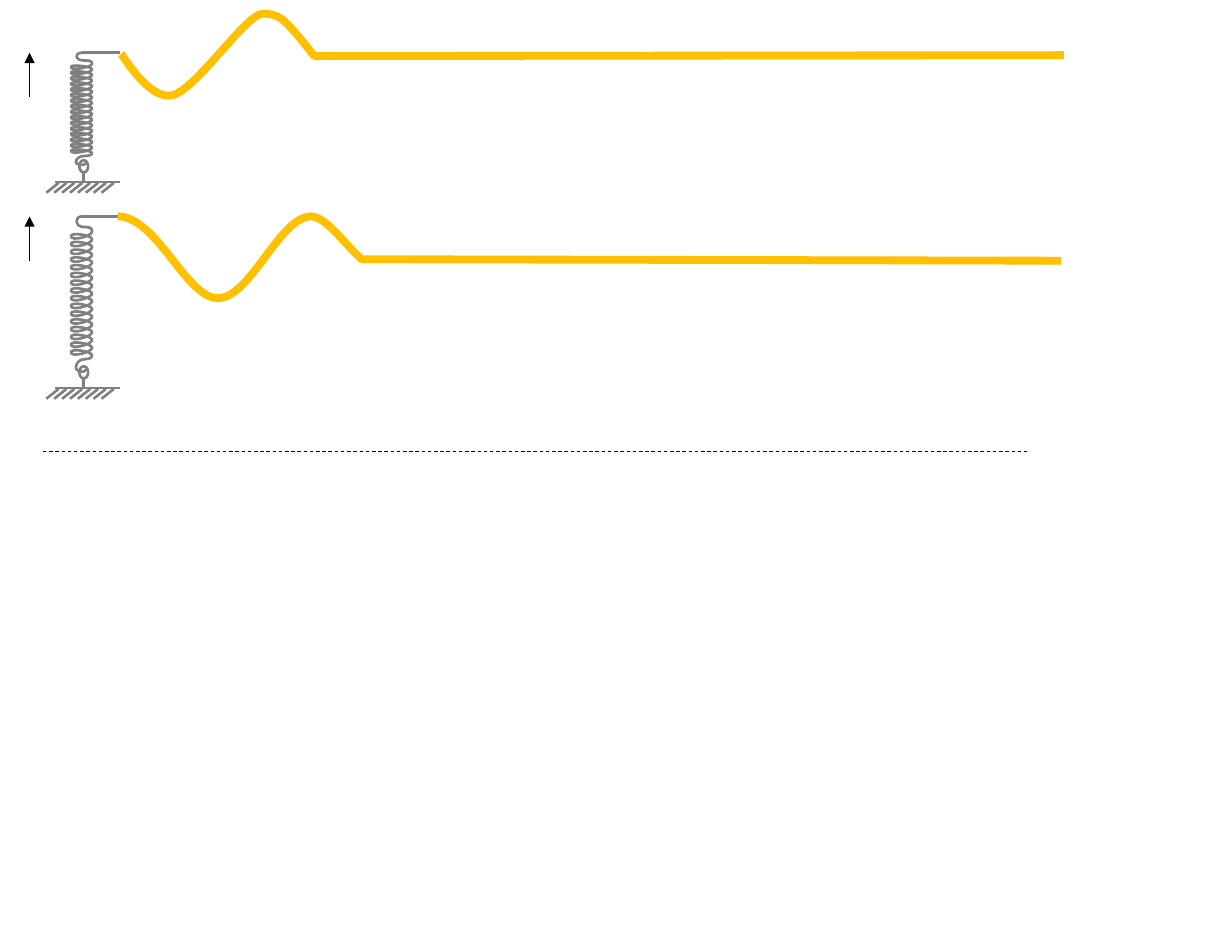
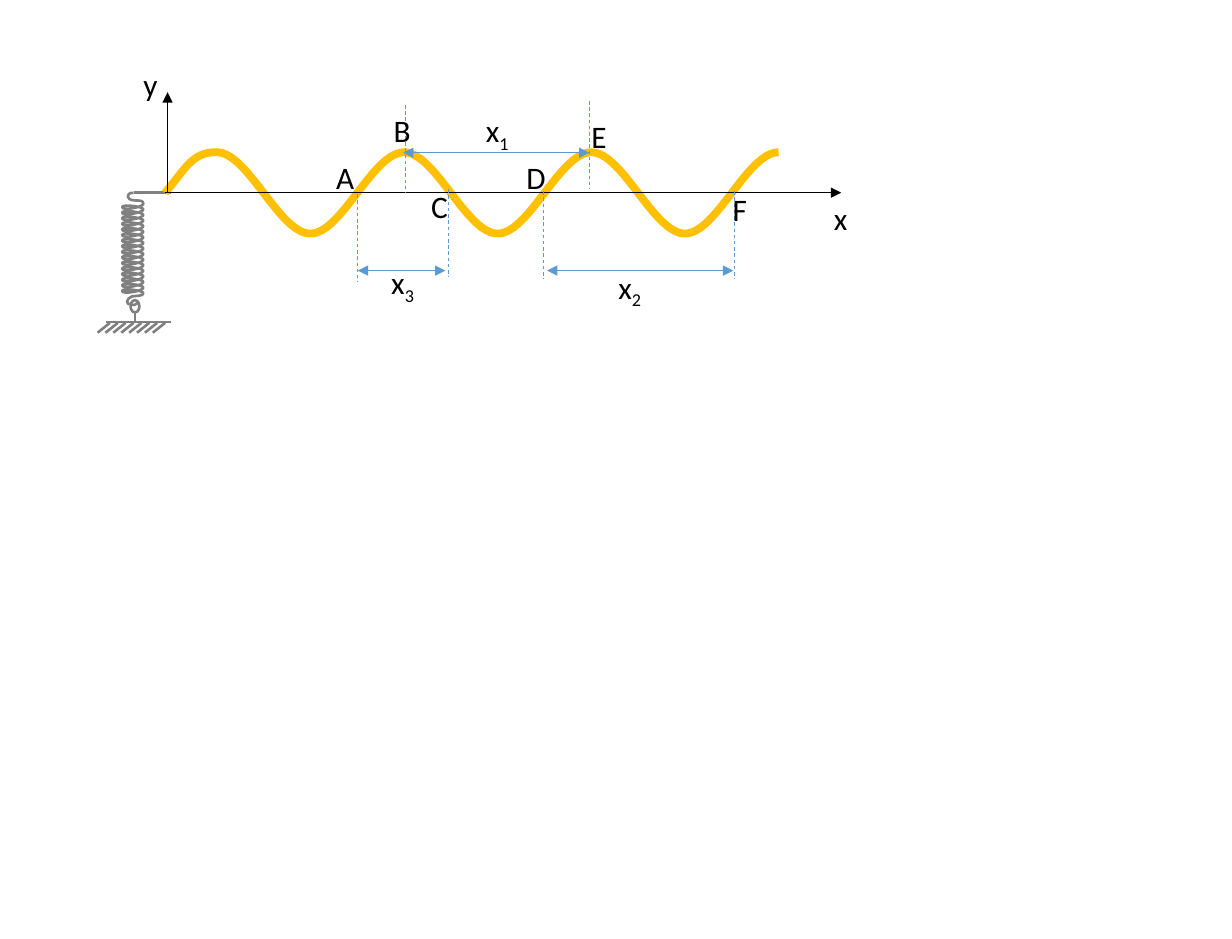
import pptx
import pptx.util
import pptx.dml.color
import pptx.enum.dml
import pptx.enum.shapes
import pptx.enum.text
import pptx.oxml.ns
import lxml.etree

Cm, Pt = pptx.util.Cm, pptx.util.Pt
RGB = pptx.dml.color.RGBColor
DASH = pptx.enum.dml.MSO_LINE.DASH
qn = pptx.oxml.ns.qn
theme = {
    "spring": {"color": RGB(0x80, 0x80, 0x80), "width": Pt(1.5)},
    "wave": {"color": RGB(0xFF, 0xC0, 0x00), "width": Pt(4.5)},
    "axis": {"color": RGB(0, 0, 0), "width": Pt(0.5)},
    "rest": {"color": RGB(0, 0, 0), "width": Pt(0.5), "dash_style": DASH},
    "measure": {"color": RGB(0x5B, 0x9B, 0xD5), "width": Pt(0.5)},
    "guide": {"color": RGB(0x5B, 0x9B, 0xD5), "width": Pt(0.5), "dash_style": DASH},
    "font": {"name": "Calibri", "size": Pt(18)},
    "text": RGB(0, 0, 0),
    "frame": {"word_wrap": False, "auto_size": pptx.enum.text.MSO_AUTO_SIZE.SHAPE_TO_FIT_TEXT},
}


def add_line(s, x1, y1, x2, y2, style, ends=()):
    c = s.shapes.add_connector(
        pptx.enum.shapes.MSO_CONNECTOR.STRAIGHT, Cm(x1), Cm(y1), Cm(x2), Cm(y2))
    for key, value in theme[style].items():
        if key == "color":
            c.line.color.rgb = value
        else:
            setattr(c.line, key, value)
    ln = c.line._get_or_add_ln()
    for end in ends:
        lxml.etree.SubElement(ln, qn(f"a:{end}"), type="triangle")
    lxml.etree.SubElement(c._element.spPr, qn("a:effectLst"))


def add_curve(s, nodes, style):
    fb = s.shapes.build_freeform(Cm(nodes[0][0]), Cm(nodes[0][1]))
    fb.add_line_segments([(Cm(x), Cm(y)) for x, y in nodes[1:]], close=False)
    sp = fb.convert_to_shape()
    segments = list(sp._element.iter(qn("a:lnTo")))
    for i in range(0, len(segments) - 2, 3):
        bezier = lxml.etree.Element(qn("a:cubicBezTo"))
        segments[i].addprevious(bezier)
        for segment in segments[i:i + 3]:
            bezier.append(segment[0])
            segment.getparent().remove(segment)
    sp.shadow.inherit = False
    sp.fill.background()
    sp.line.color.rgb = theme[style]["color"]
    sp.line.width = theme[style]["width"]


prs = pptx.Presentation()
prs.slide_width, prs.slide_height = Cm(25), Cm(19.05)
pulses, graph = [prs.slides.add_slide(prs.slide_layouts[6]) for _ in range(2)]
long_pulse, short_pulse, diagram = [
    s.shapes.add_group_shape() for s in (pulses, pulses, graph)]

turns, coil_top, coil_bottom = 16, 0.1, 0.91
pitch = (coil_bottom - coil_top) / turns
coil = [(0.08, 1), (0.05, 1.02), (0, 1.02), (-0.08, 1.01),
        (-0.13, 1.01), (-0.18, 0.97), (-0.03, 0.94),
        (0.05, 0.93), (0.2, 0.94), (0.2, coil_bottom)]
for i in range(turns):
    v = coil_bottom - i * pitch
    coil += [(0.2, v - 0.5 * pitch), (-0.23, v - pitch), (-0.23, v - 0.4 * pitch),
             (-0.23, v + 0.3 * pitch), (0.2, v - 0.4 * pitch), (0.2, v - pitch)]
coil += [(0.2, 0.07), (0.13, 0.07), (0, 0.07), (-0.13, 0.07), (-0.18, 0), (0, 0)]

for s, x, top, ground in [(long_pulse, 1.67, 4.39, 7.87), (short_pulse, 1.67, 1.07, 3.69),
                          (diagram, 2.71, 3.91, 6.53)]:
    add_line(s, x - 0.56, ground, x + 0.77, ground, "spring")
    for i in range(8):
        hx = x - 0.48 + 0.16 * i
        add_line(s, hx, ground + 0.02, hx - 0.25, ground + 0.22, "spring")
    height = ground - top - 0.38
    add_curve(s, [(x + u, top + v * height) for u, v in coil], "spring")
    sp = s.shapes.add_shape(pptx.enum.shapes.MSO_SHAPE.OVAL,
                            Cm(x - 0.06), Cm(ground - 0.44), Cm(0.18), Cm(0.25))
    sp.shadow.inherit = False
    sp.fill.background()
    sp.line.color.rgb = theme["spring"]["color"]
    sp.line.width = theme["spring"]["width"]
    add_line(s, x + 0.03, ground, x + 0.03, ground - 0.19, "spring")
    add_line(s, x, top, x + 0.77, top, "spring")

add_curve(long_pulse, [(2.39, 4.39), (3.18, 4.39), (3.78, 6.05), (4.42, 6.05),
                       (5.08, 6.05), (5.66, 4.42), (6.3, 4.39),
                       (6.63, 4.39), (7.01, 4.98), (7.34, 5.26), (21.54, 5.29)], "wave")
add_curve(short_pulse, [(2.46, 1.09), (2.46, 1.07), (3.02, 2.06), (3.51, 1.93),
                        (3.99, 1.8), (5, 0.28), (5.33, 0.28),
                        (5.66, 0.28), (5.74, 0.33), (6.38, 1.14), (21.59, 1.12)], "wave")
for s, top in [(long_pulse, 4.39), (short_pulse, 1.07)]:
    add_line(s, 0.6, top + 0.9, 0.6, top, "axis", ["tailEnd"])
add_line(pulses, 0.87, 9.15, 20.89, 9.15, "rest")

start, crest, trough, half = 4.4, 3.09, 4.74, 1.9
wave = [(3.35, 3.91), (3.73, 3.48), (3.89, 3.07), (start, crest)]
for i in range(6):
    x = start + i * half
    y1, y2 = (crest, trough) if i % 2 == 0 else (trough, crest)
    wave += [(x + half / 3, y1), (x + 2 * half / 3, y2), (x + half, y2)]
add_curve(diagram, wave, "wave")
add_line(diagram, 3.35, 3.91, 17.07, 3.91, "axis", ["tailEnd"])
add_line(diagram, 3.4, 3.91, 3.4, 1.87, "axis", ["tailEnd"])
for x1, x2, y in [(8.18, 11.96, 3.1), (11.1, 14.88, 5.49), (7.26, 9.04, 5.49)]:
    add_line(diagram, x1, y, x2, y, "measure", ["headEnd", "tailEnd"])
for x, y in [(7.26, 3.94), (8.23, 2.13), (11.96, 2.05), (11.02, 3.88),
             (14.91, 3.88), (9.11, 3.84)]:
    add_line(diagram, x, y, x, y + 1.78, "guide")

for text, x, y, w in [
        ("x", 16.67, 3.91, 0.79), ("y", 2.66, 1.19, 0.81),
        ("x1", 9.61, 2.13, 1.02), ("x2", 12.3, 5.31, 1.02), ("x3", 7.69, 5.21, 1.02),
        ("A", 6.57, 3.08, 0.89), ("B", 7.74, 2.13, 0.89), ("C", 8.5, 3.67, 0.89),
        ("D", 10.43, 3.08, 0.91), ("E", 11.75, 2.25, 0.81), ("F", 14.62, 3.73, 0.81)]:
    tf = diagram.shapes.add_textbox(Cm(x), Cm(y), Cm(w), Cm(1.02)).text_frame
    for key, value in theme["frame"].items():
        setattr(tf, key, value)
    p = tf.paragraphs[0]
    for char in text:
        r = p.add_run()
        r.text = char
        for key, value in theme["font"].items():
            setattr(r.font, key, value)
        r.font.color.rgb = theme["text"]
        if char.isdigit():
            r._r.get_or_add_rPr().set("baseline", "-25000")

prs.save("out.pptx")
